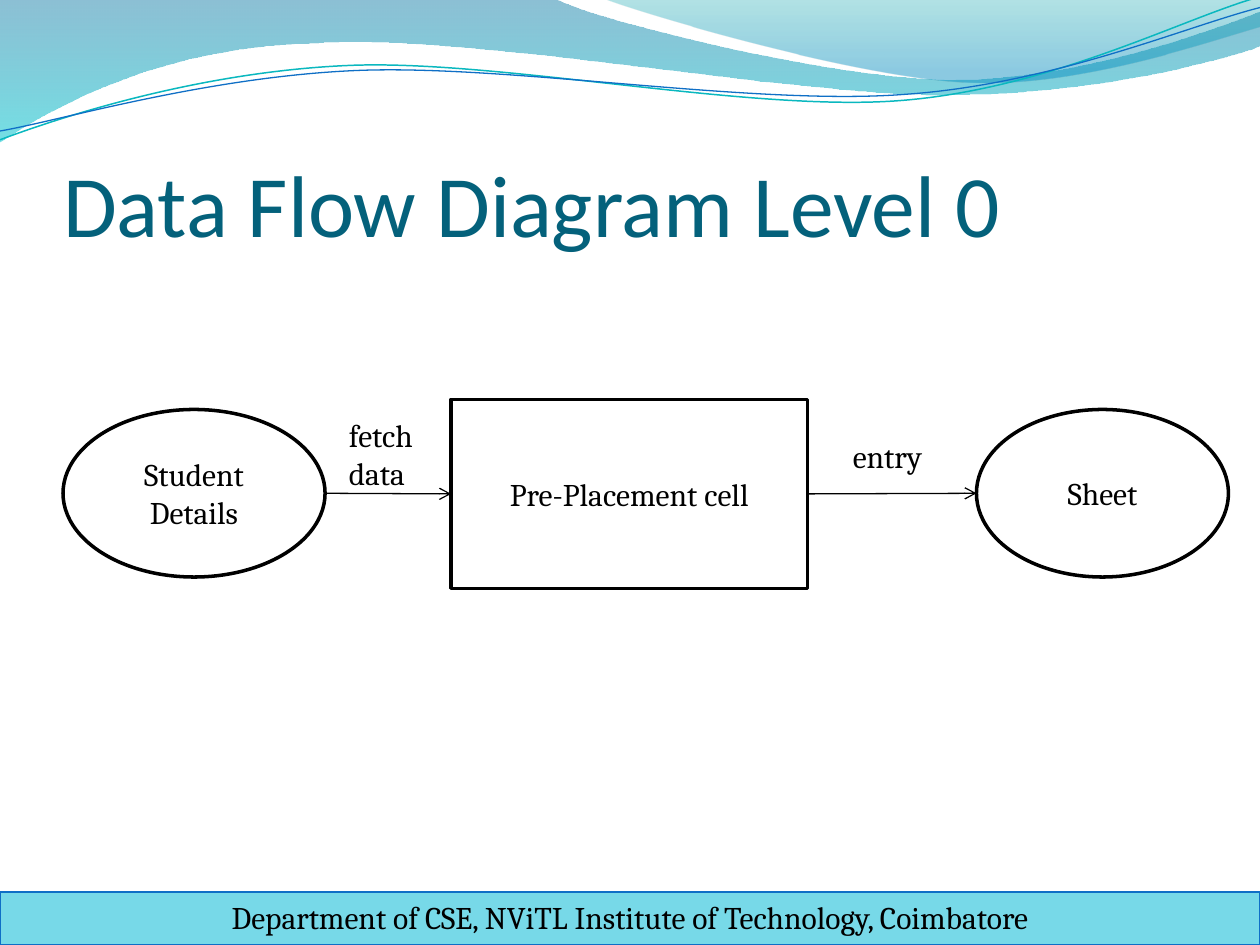
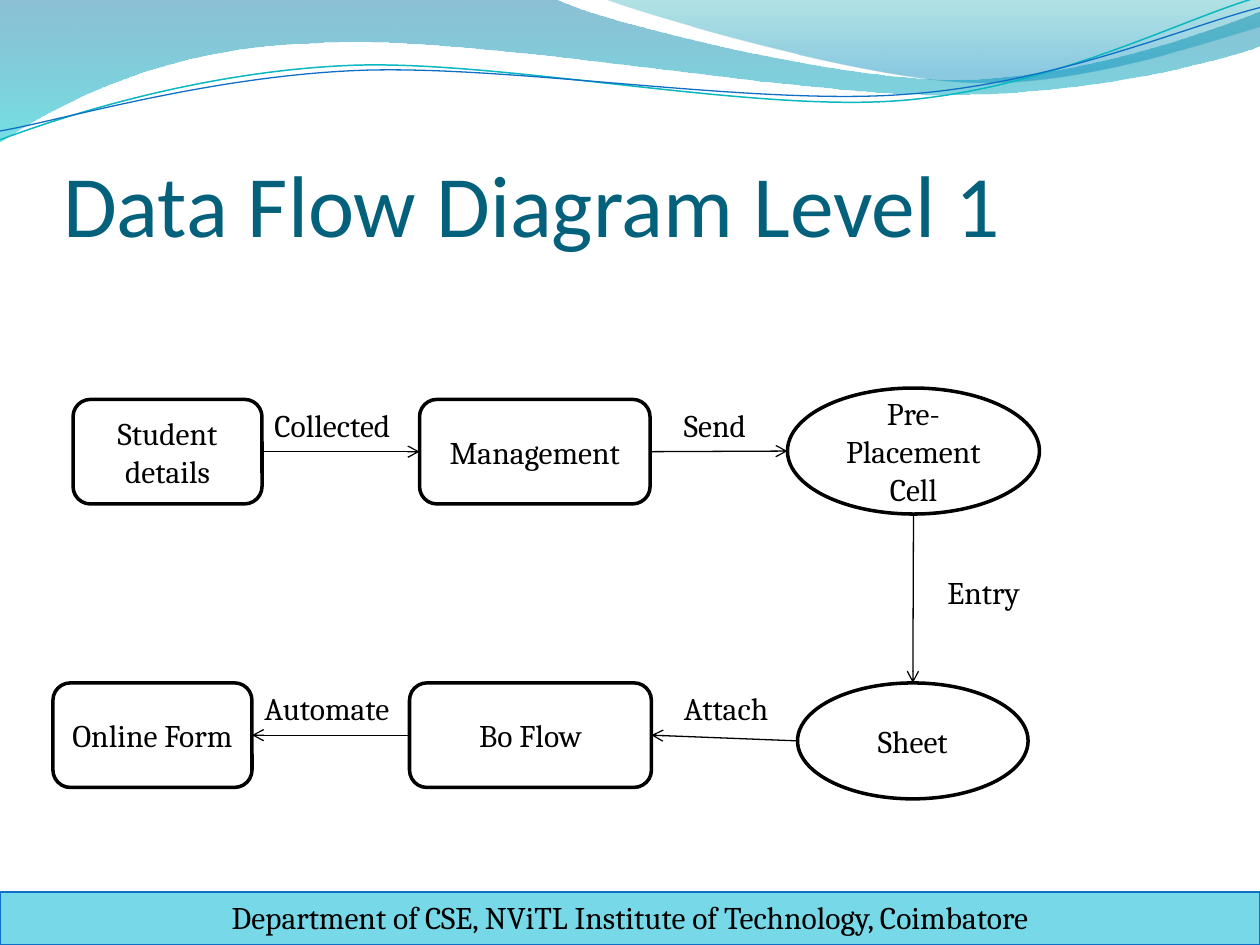
import pptx
import pptx.dml.color
import pptx.enum.shapes
import pptx.enum.text
import pptx.oxml.ns
import pptx.util
from lxml import etree

Inches = pptx.util.Inches
Pt = pptx.util.Pt
qualified = pptx.oxml.ns.qn
ALIGN = pptx.enum.text.PP_ALIGN
ANCHOR = pptx.enum.text.MSO_ANCHOR
SHAPE = pptx.enum.shapes.MSO_SHAPE
OVAL = SHAPE.OVAL
RECTANGLE = SHAPE.RECTANGLE
ROUNDED = SHAPE.ROUNDED_RECTANGLE

BLACK = "000000"
WHITE = "FFFFFF"
TITLE_COLOR = "04617B"
FOOTER_FILL = "77D9E8"
BLUE = "0F6FC6"
TEAL = "0AB8BF"
BODY_FONT = "Cambria"
TITLE_FONT = "Calibri"
FOOTER = "Department of CSE, NViTL Institute of Technology, Coimbatore"

WIDE_WAVE = [
    (0, 0), (4.4, -0.01),
    (4.76, 0.17, 6.64, 0.63, 7.58, 0.63),
    (8.53, 0.63, 9.58, 0.26, 10, 0.09),
    (10.01, 0.36),
    (9.83, 0.44, 8.7, 0.76, 7.46, 0.75),
    (6.22, 0.75, 3.82, 0.28, 2.57, 0.34),
    (1.29, 0.36, 0.46, 0.83, -0.01, 1.13),
]
RIGHT_WAVE = [
    (4.79, -0.01),
    (5.09, 0.11, 6.82, 0.62, 7.69, 0.65),
    (8.56, 0.69, 9.61, 0.32, 10, 0.21),
    (10, 0),
]
TEAL_LINE = [
    (0, 1.11),
    (0.48, 0.93, 1.58, 0.57, 2.77, 0.52),
    (3.95, 0.47, 5.93, 0.89, 7.13, 0.8),
    (8.33, 0.71, 9.38, 0.15, 9.98, -0.02),
]
BLUE_LINE = [
    (0, 1.04),
    (0.47, 0.96, 1.64, 0.61, 2.83, 0.56),
    (4.03, 0.51, 5.97, 0.84, 7.17, 0.75),
    (8.36, 0.67, 9.41, 0.21, 10, 0.06),
]


def color(value):
    return pptx.dml.color.RGBColor.from_string(value)


def set_line(line, value, width):
    line.color.rgb = color(value)
    line.width = Pt(width)


def set_text(shape, text, size=18, font=BODY_FONT, value=BLACK,
             align=ALIGN.LEFT, anchor=ANCHOR.TOP):
    frame = shape.text_frame
    frame.word_wrap = True
    frame.vertical_anchor = anchor
    frame.text = text
    for paragraph in frame.paragraphs:
        paragraph.alignment = align
        for run in paragraph.runs:
            run.font.size = Pt(size)
            run.font.name = font
            run.font.color.rgb = color(value)


def add_outline(slide, segments, close):
    points = [(Inches(x), Inches(y)) for segment in segments
              for x, y in zip(segment[::2], segment[1::2])]
    builder = slide.shapes.build_freeform(*points[0])
    builder.add_line_segments(points[1:], close=close)
    shape = builder.convert_to_shape()
    shape.shadow.inherit = False
    bend_curves(shape, segments)
    return shape


def bend_curves(shape, segments):
    steps = iter(shape._element.xpath(".//a:lnTo"))
    for segment in segments[1:]:
        first = next(steps)
        if len(segment) == 6:
            first.tag_curve = None
            curve = etree.Element(qualified("a:cubicBezTo"))
            first.addprevious(curve)
            for step in (first, next(steps), next(steps)):
                curve.append(step[0])
                step.getparent().remove(step)


def add_wave(slide, segments, stops):
    shape = add_outline(slide, segments, True)
    shape.line.fill.background()
    shape.fill.gradient()
    shape.fill.gradient_angle = 270
    for stop, (position, value, _) in zip(shape.fill.gradient_stops, stops):
        stop.position = position
        stop.color.rgb = color(value)
    solid_colors = shape._element.xpath(".//a:gs/a:srgbClr")
    for element, (_, _, opacity) in zip(solid_colors, stops):
        alpha = etree.SubElement(element, qualified("a:alpha"))
        alpha.set("val", str(opacity * 1000))


def add_wave_line(slide, segments, value, width):
    shape = add_outline(slide, segments, False)
    shape.fill.background()
    set_line(shape.line, value, width)


def add_box(slide, kind, text, left, top, width, height,
            fill=WHITE, line=BLACK, line_width=2, anchor=ANCHOR.MIDDLE):
    shape = slide.shapes.add_shape(
        kind, Inches(left), Inches(top), Inches(width), Inches(height))
    shape.shadow.inherit = False
    shape.fill.solid()
    shape.fill.fore_color.rgb = color(fill)
    set_line(shape.line, line, line_width)
    set_text(shape, text, align=ALIGN.CENTER, anchor=anchor)
    return shape


def add_label(slide, text, left, top, width, height=0.4):
    label = slide.shapes.add_textbox(
        Inches(left), Inches(top), Inches(width), Inches(height))
    set_text(label, text)


def edge(shape, side):
    x = {"left": 0, "right": shape.width}.get(side, shape.width // 2)
    y = {"top": 0, "bottom": shape.height}.get(side, shape.height // 2)
    return shape.left + x, shape.top + y


def add_arrow(slide, source, source_side, target, target_side):
    connector = slide.shapes.add_connector(
        pptx.enum.shapes.MSO_CONNECTOR.STRAIGHT,
        *edge(source, source_side), *edge(target, target_side))
    set_line(connector.line, BLACK, 0.75)
    tail = etree.SubElement(connector.line._get_or_add_ln(), qualified("a:tailEnd"))
    tail.set("type", "arrow")
    etree.SubElement(connector._element.spPr, qualified("a:effectLst"))


def add_title(slide, text):
    title = slide.shapes.add_textbox(Inches(0.5), Inches(0.77), Inches(9.08), Inches(1.25))
    frame = title.text_frame
    frame.margin_left = frame.margin_right = frame.margin_bottom = 0
    set_text(title, text, 50, TITLE_FONT, TITLE_COLOR, anchor=ANCHOR.BOTTOM)


def add_framed_slide(presentation, title):
    slide = presentation.slides.add_slide(presentation.slide_layouts[6])
    add_wave(slide, WIDE_WAVE, [(0, "0074A1", 45), (1, "00C6CF", 55)])
    add_wave(slide, RIGHT_WAVE, [(0, "00A1A9", 30), (0.8, "008BBF", 45)])
    add_wave_line(slide, TEAL_LINE, TEAL, 0.85)
    add_wave_line(slide, BLUE_LINE, BLUE, 0.75)
    add_title(slide, title)
    add_box(slide, RECTANGLE, FOOTER, 0, 7.08, 10, 0.42,
            FOOTER_FILL, BLUE, 0.75, ANCHOR.TOP)
    return slide


def build_level_0(presentation):
    slide = add_framed_slide(presentation, "Data Flow Diagram Level 0")
    student = add_box(slide, OVAL, "Student Details", 0.5, 3.25, 2.08, 1.33)
    cell = add_box(slide, RECTANGLE, "Pre-Placement cell", 3.58, 3.17, 2.83, 1.5)
    sheet = add_box(slide, OVAL, "Sheet", 7.75, 3.25, 2, 1.33)
    add_arrow(slide, student, "right", cell, "left")
    add_arrow(slide, cell, "right", sheet, "left")
    add_label(slide, "fetch\vdata", 2.67, 3.25, 0.83, 0.71)
    add_label(slide, "entry", 6.67, 3.42, 0.83)


def build_level_1(presentation):
    slide = add_framed_slide(presentation, "Data Flow Diagram Level 1")
    top_row, bottom_row = 3.17, 5.42
    student = add_box(slide, ROUNDED, "Student details", 0.58, top_row, 1.5, 0.83)
    management = add_box(slide, ROUNDED, "Management", 3.33, top_row, 1.83, 0.83)
    cell = add_box(slide, OVAL, "Pre-Placement Cell", 6.25, 3.08, 2, 1)
    sheet = add_box(slide, OVAL, "Sheet", 6.33, bottom_row, 1.83, 0.92)
    robot = add_box(slide, ROUNDED, "Bo Flow", 3.25, bottom_row, 1.92, 0.83)
    form = add_box(slide, ROUNDED, "Online Form", 0.42, bottom_row, 1.58, 0.83)

    add_arrow(slide, student, "right", management, "left")
    add_arrow(slide, management, "right", cell, "left")
    add_arrow(slide, cell, "bottom", sheet, "top")
    add_arrow(slide, sheet, "left", robot, "right")
    add_arrow(slide, robot, "left", form, "right")

    add_label(slide, "Collected", 2.08, top_row, 1.23)
    add_label(slide, "Send", 5.33, top_row, 0.91)
    add_label(slide, "Entry", 7.42, 4.5, 0.81)
    add_label(slide, "Attach", 5.33, bottom_row, 0.93)
    add_label(slide, "Automate", 2, bottom_row, 1.28)


def main():
    presentation = pptx.Presentation()
    presentation.slide_width = Inches(10)
    presentation.slide_height = Inches(7.5)
    build_level_0(presentation)
    build_level_1(presentation)
    presentation.save("out.pptx")


if __name__ == "__main__":
    main()
